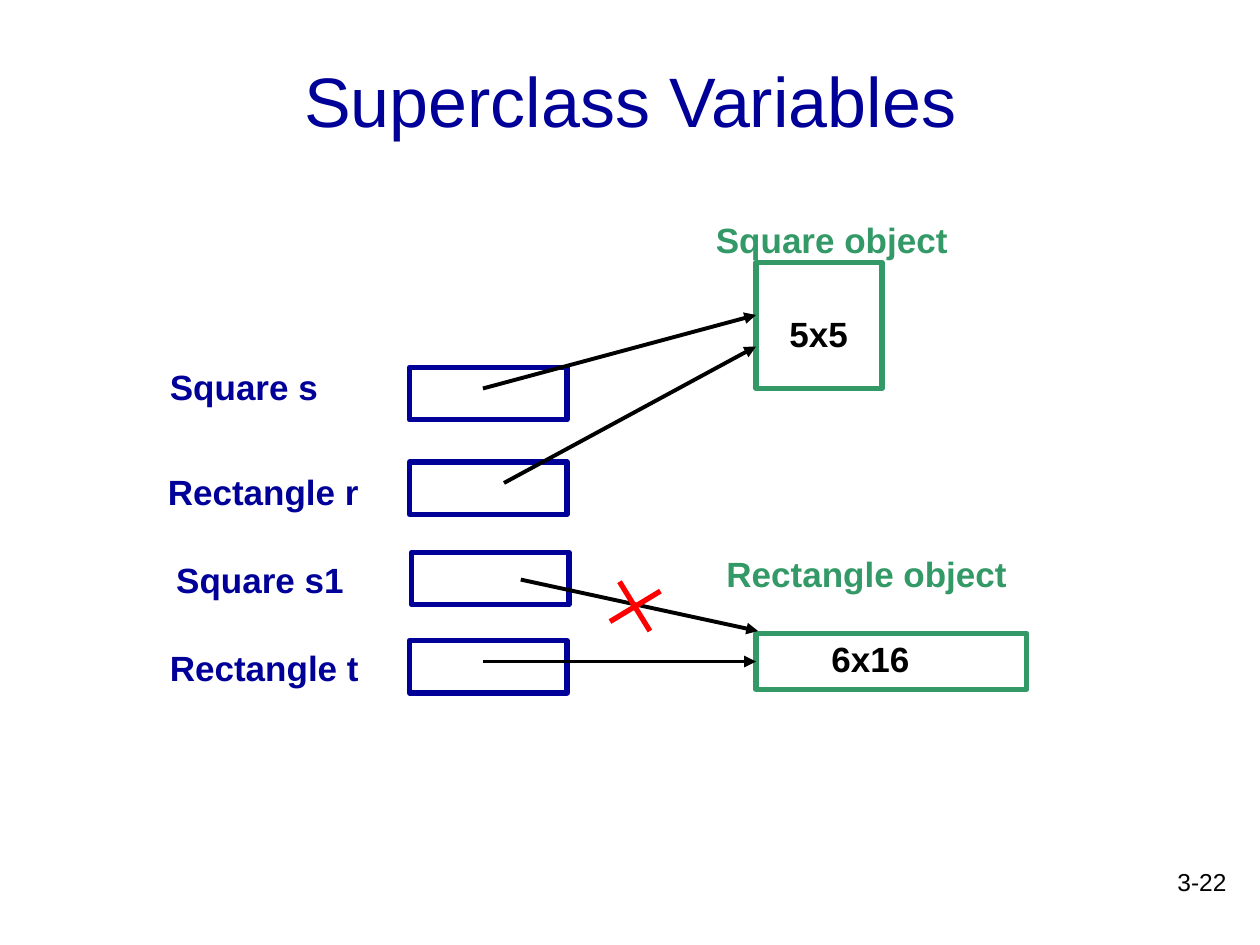
from dataclasses import dataclass

from lxml.etree import SubElement
from pptx import Presentation
from pptx.dml.color import RGBColor
from pptx.enum.shapes import MSO_CONNECTOR, MSO_SHAPE
from pptx.enum.text import MSO_ANCHOR, MSO_AUTO_SIZE, PP_ALIGN
from pptx.oxml.ns import qn
from pptx.util import Inches, Pt


@dataclass(frozen=True)
class Theme:
    font: str = "Arial"
    navy: RGBColor = RGBColor(0x00, 0x00, 0x99)
    green: RGBColor = RGBColor(0x33, 0x99, 0x66)
    red: RGBColor = RGBColor(0xFF, 0x00, 0x00)
    black: RGBColor = RGBColor(0x00, 0x00, 0x00)
    title: int = 40
    label: int = 20
    number: int = 14
    box_line: float = 3
    arrow_line: float = 2.25


class Diagram:
    """Draws on a grid of 120 columns by 90 rows, 12 to the inch."""

    def __init__(self, slide, theme):
        self.slide, self.theme = slide, theme

    def grid(self, *cells):
        return [Inches(cell / 12) for cell in cells]

    def text(self, text, at, color, size=None, bold=True,
             align=PP_ALIGN.LEFT, anchor=MSO_ANCHOR.TOP, grow=True):
        tf = self.slide.shapes.add_textbox(*self.grid(*at)).text_frame
        frame = {
            "word_wrap": True,
            "vertical_anchor": anchor,
            "auto_size": MSO_AUTO_SIZE.SHAPE_TO_FIT_TEXT if grow else MSO_AUTO_SIZE.NONE,
        }
        for name, value in frame.items():
            setattr(tf, name, value)
        p = tf.paragraphs[0]
        p.alignment = align
        r = p.add_run()
        r.text = text
        style = {"name": self.theme.font, "size": Pt(size or self.theme.label), "bold": bold}
        for name, value in style.items():
            setattr(r.font, name, value)
        r.font.color.rgb = color

    def box(self, at, color):
        sp = self.slide.shapes.add_shape(MSO_SHAPE.RECTANGLE, *self.grid(*at))
        sp.shadow.inherit = False
        sp.fill.background()
        sp.line.color.rgb = color
        sp.line.width = Pt(self.theme.box_line)
        return sp

    def line(self, start, end, color, width):
        cx = self.slide.shapes.add_connector(MSO_CONNECTOR.STRAIGHT, *self.grid(*start, *end))
        cx.line.color.rgb = color
        cx.line.width = Pt(width)
        SubElement(cx._element.spPr, qn("a:effectLst"))
        return cx

    def arrow(self, start, end, target=None):
        cx = self.line(start, end, self.theme.black, self.theme.arrow_line)
        SubElement(cx.line._get_or_add_ln(), qn("a:tailEnd"), type="triangle")
        if target is not None:
            cx.end_connect(target, 1)


def main():
    prs = Presentation()
    prs.slide_width, prs.slide_height = Inches(10), Inches(7.5)
    theme = Theme()
    s = Diagram(prs.slides.add_slide(prs.slide_layouts[6]), theme)

    # Title and page number
    s.text("Superclass Variables", (9, 2, 102, 15), theme.navy, theme.title, bold=False,
           align=PP_ALIGN.CENTER, anchor=MSO_ANCHOR.MIDDLE, grow=False)
    s.text("3-22", (93, 82, 25, 6), theme.black, theme.number, bold=False,
           align=PP_ALIGN.RIGHT, grow=False)

    # Variables: name, label column and row, box column and row
    variables = [
        ("Square s", 15, 34.2, 39, 35),
        ("Rectangle r", 14.8, 44.2, 39, 44),
        ("Square s1", 15.6, 52.6, 39.2, 52.6),
        ("Rectangle t", 15, 61, 39, 61),
    ]
    for name, label_col, label_row, box_col, box_row in variables:
        s.text(name, (label_col, label_row, 23, 5.2), theme.navy)
        s.box((box_col, box_row, 15, 5), theme.navy)

    # Objects with their captions and sizes
    s.box((72, 25, 12, 12), theme.green)
    s.text("Square object", (67, 20.2, 31.2, 5.2), theme.green)
    s.text("5x5", (74, 29.2, 10.8, 5.2), theme.black)
    rectangle = s.box((72, 60.35, 25.8, 5.3), theme.green)
    s.text("Rectangle object", (68, 52, 37.3, 5.2), theme.green)
    s.text("6x16", (78, 60.1, 15.1, 5.2), theme.black)

    # References from variables to objects
    s.arrow((46, 37), (72, 30))
    s.arrow((48, 46), (72, 33))
    s.arrow((49.6, 55.2), (72.2, 60.1))
    s.arrow((46, 63), (72, 63), rectangle)

    # Red cross on the reference that is not allowed
    for start, end in [((59, 55.4), (61.9, 60.1)), ((62.9, 56.3), (58.1, 59.2))]:
        s.line(start, end, theme.red, theme.box_line)

    prs.save("out.pptx")


if __name__ == "__main__":
    main()
